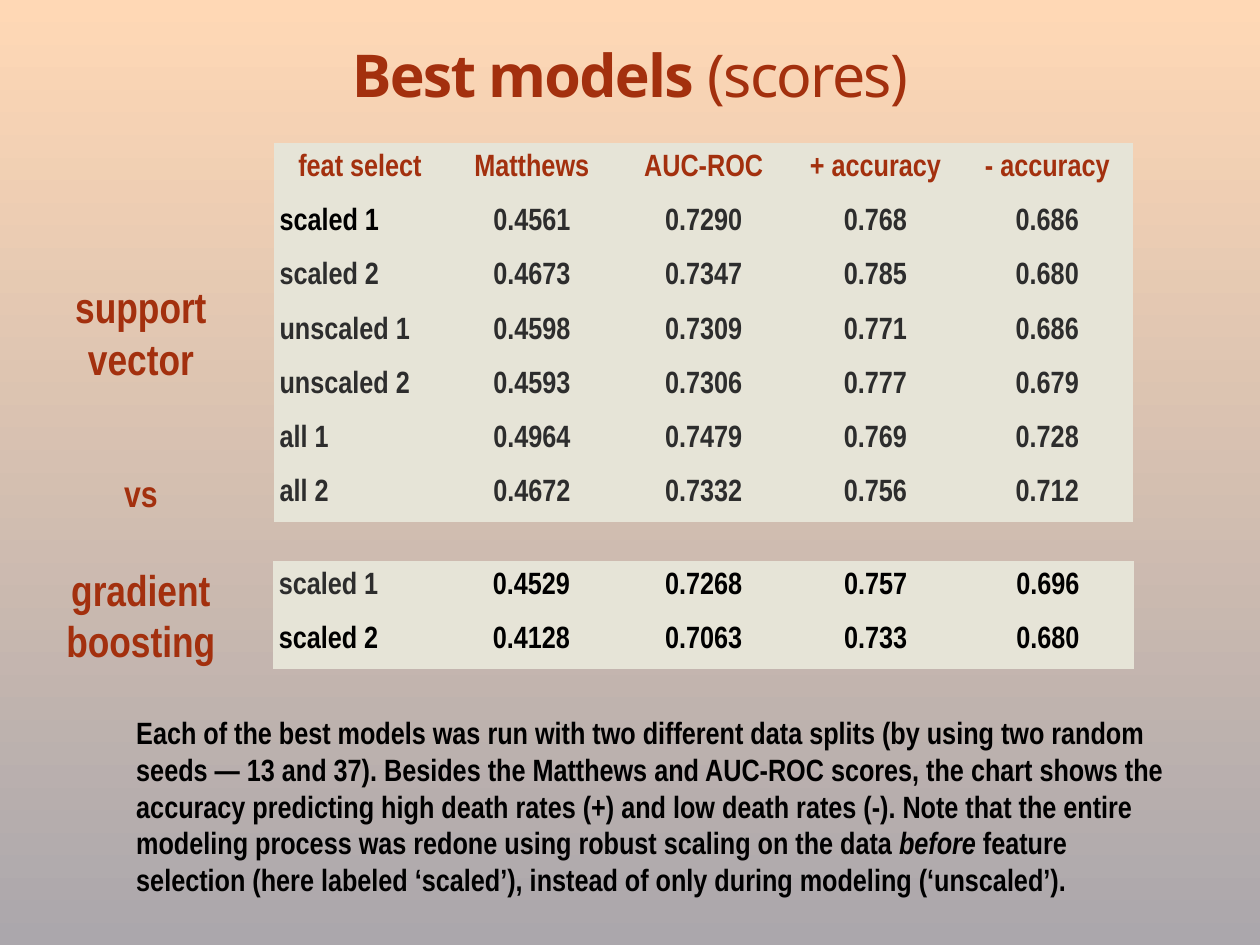
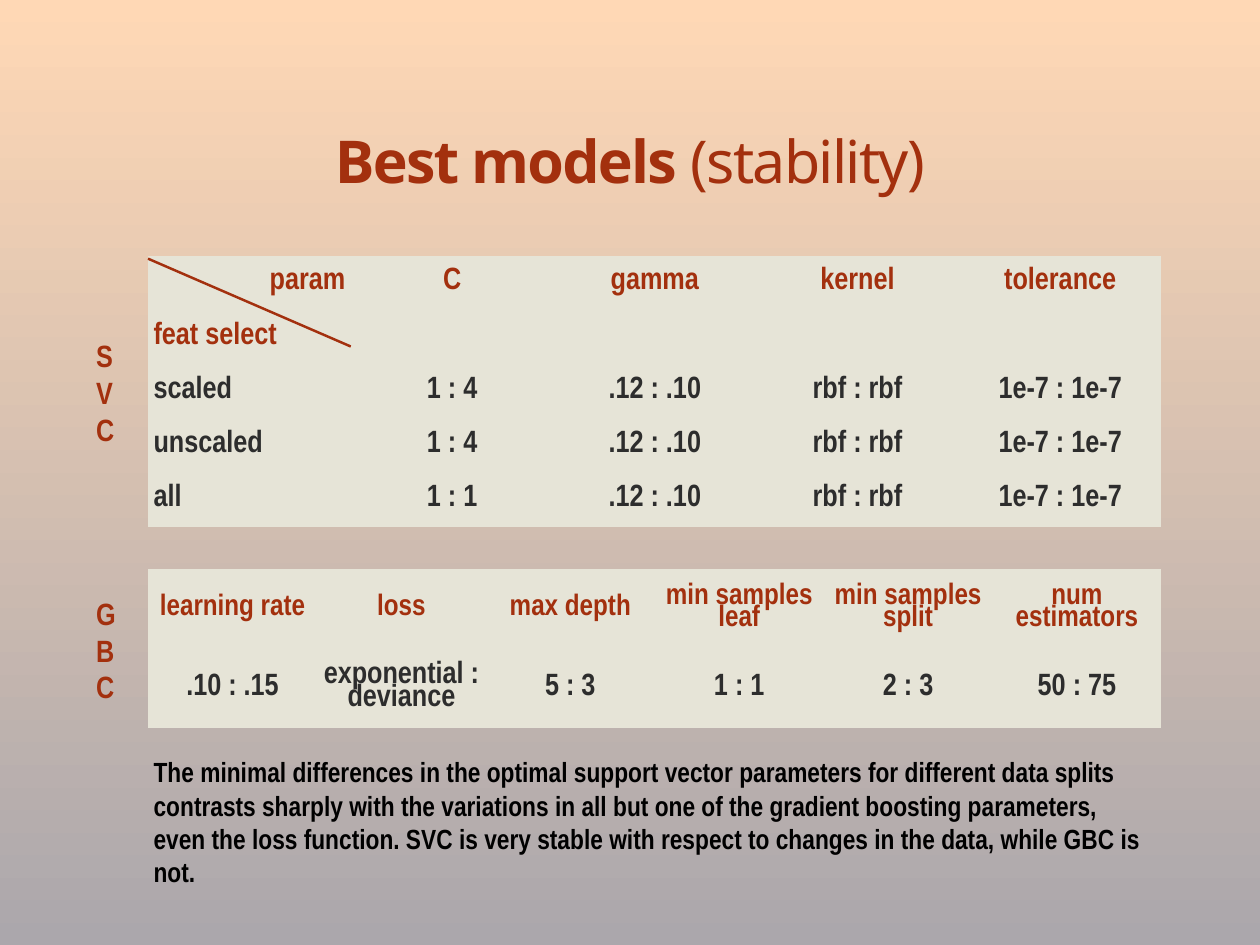
from lxml.etree import SubElement
from pptx import Presentation
from pptx.dml.color import RGBColor
from pptx.enum.shapes import MSO_CONNECTOR as Connector
from pptx.enum.text import MSO_ANCHOR as Anchor, MSO_AUTO_SIZE as AutoSize, PP_ALIGN as Align
from pptx.oxml.ns import qn
from pptx.util import Emu, Pt

COLORS = {
    "rust": "A3300E",
    "ink": "2D2D2D",
    "black": "000000",
    "cell": "E6E4D7",
    "sky": "FFD8B5",
    "dusk": "ABA7AC",
}
COLUMNS, ROWS = 160, 120
UNIT = 81280
NO_STYLE = "{2D5ABB26-0587-4C30-8999-92F81FD0307C}"
ROW_HEIGHT = 6.88
INSET = 0.7

TEXT = {"name": "Arial Narrow", "size": Pt(25), "bold": True}
TITLE = {"name": "Noto Sans", "size": Pt(48)}

SCORE_HEADS = ["feat select", "Matthews", "AUC-ROC", "+ accuracy", "- accuracy"]
SVC_SCORES = [
    ["scaled 1", "0.4561", "0.7290", "0.768", "0.686"],
    ["scaled 2", "0.4673", "0.7347", "0.785", "0.680"],
    ["unscaled 1", "0.4598", "0.7309", "0.771", "0.686"],
    ["unscaled 2", "0.4593", "0.7306", "0.777", "0.679"],
    ["all 1", "0.4964", "0.7479", "0.769", "0.728"],
    ["all 2", "0.4672", "0.7332", "0.756", "0.712"],
]
GBC_SCORES = [
    ["scaled 1", "0.4529", "0.7268", "0.757", "0.696"],
    ["scaled 2", "0.4128", "0.7063", "0.733", "0.680"],
]
SCORES_NOTE = [
    ("Each of the best models was run with two different data splits (by using two random "
     "seeds — 13 and 37). Besides the Matthews and AUC-ROC scores, the chart shows the "
     "accuracy predicting high death rates (+) and low death rates (-). Note that the entire "
     "modeling process was redone using robust scaling on the data ", {}),
    ("before", {"italic": True}),
    (" feature selection (here labeled ‘scaled’), instead of only during modeling (‘unscaled’).", {}),
]

SVC_PARAMS = [
    ["param", "C", "gamma", "kernel", "tolerance"],
    ["feat select", "", "", "", ""],
    *[[name, c_value, ".12 : .10", "rbf : rbf", "1e-7 : 1e-7"]
      for name, c_value in [("scaled", "1 : 4"), ("unscaled", "1 : 4"), ("all", "1 : 1")]],
]
GBC_PARAMS = [
    ["learning rate", "loss", "max depth", "min samples leaf", "min samples split", "num estimators"],
    [".10 : .15", "exponential : deviance", "5 : 3", "1 : 1", "2 : 3", "50 : 75"],
]
STABILITY_NOTE = (
    "The minimal differences in the optimal support vector parameters for different data splits "
    "contrasts sharply with the variations in all but one of the gradient boosting parameters, "
    "even the loss function. SVC is very stable with respect to changes in the data, while GBC is not."
)


def grid(*lengths):
    return [Emu(round(length * UNIT)) for length in lengths]


def rgb(name):
    return RGBColor.from_string(COLORS[name])


def set_all(target, values):
    for name, value in values.items():
        setattr(target, name, value)


def place(shape, box):
    set_all(shape, dict(zip(("left", "top", "width", "height"), grid(*box))))


def set_margins(target):
    inset, = grid(INSET)
    set_all(target, {f"margin_{side}": inset for side in ("left", "top", "right", "bottom")})


def write_spans(para, spans, color, base=TEXT, **layout):
    set_all(para, layout)
    for text, changes in spans:
        span = para.add_run()
        span.text = text
        set_all(span.font, {**base, **changes})
        span.font.color.rgb = rgb(color)


def prepare_frame(frame, anchor=Anchor.MIDDLE, wrap=True):
    set_margins(frame)
    set_all(frame, {"word_wrap": wrap, "auto_size": AutoSize.NONE, "vertical_anchor": anchor})


def add_title(page, top, topic):
    title = page.shapes.title
    width = 128.7
    place(title, ((COLUMNS - width) / 2, top, width, 23.4))
    prepare_frame(title.text_frame)
    para = title.text_frame.paragraphs[0]
    spans = [("Best models ", {"bold": True}), (f"({topic})", {"bold": False})]
    write_spans(para, spans, "rust", TITLE, alignment=Align.CENTER)
    for span in para.runs:
        span.font._element.set("spc", "-140")


def add_label(page, box, lines, size=25, wrap=True):
    label = page.shapes.add_textbox(*grid(*box))
    frame = label.text_frame
    prepare_frame(frame, wrap=wrap)
    for index, line in enumerate(lines):
        para = frame.add_paragraph() if index else frame.paragraphs[0]
        write_spans(para, [(line, {"size": Pt(size)})], "rust", alignment=Align.CENTER)


def add_cells(page, box, rows, heads=0, color="ink", head_size=25, left_column=True, special=None):
    special = special or {}
    table = page.shapes.add_table(len(rows), len(rows[0]), *grid(*box)).table
    set_all(table, {"first_row": False, "horz_banding": False})
    table._tbl.tblPr.find(qn("a:tableStyleId")).text = NO_STYLE
    for r, values in enumerate(rows):
        for c, value in enumerate(values):
            cell = table.cell(r, c)
            set_margins(cell)
            cell.vertical_anchor = Anchor.MIDDLE
            cell.fill.solid()
            cell.fill.fore_color.rgb = rgb("cell")
            is_head = r < heads
            at_left = left_column and c == 0
            if value == "param":
                align = Align.RIGHT
            elif at_left and value != "feat select" or at_left and r > 0:
                align = Align.LEFT
            else:
                align = Align.CENTER
            if value:
                size = Pt(head_size if is_head else 25)
                tone = "rust" if is_head else special.get((r, c), color)
                write_spans(cell.text_frame.paragraphs[0], [(value, {"size": size})], tone,
                            alignment=align, line_spacing=0.8)


def add_diagonal(page, box):
    left, top, width, height = box
    line = page.shapes.add_connector(
        Connector.STRAIGHT, *grid(left, top, left + width, top + height))
    line.line.color.rgb = rgb("rust")
    line.line.width = Pt(2)
    SubElement(line._element.spPr, qn("a:effectLst"))


def add_body(page, box, text):
    body = page.placeholders[1]
    place(body, box)
    prepare_frame(body.text_frame)
    para = body.text_frame.paragraphs[0]
    properties = para._p.get_or_add_pPr()
    for name in ("marL", "indent"):
        properties.set(name, "0")
    SubElement(properties, qn("a:buNone"))
    write_spans(para, [(text, {"size": Pt(22.5)})], "black",
                alignment=Align.LEFT, space_before=Pt(0))


def add_note(page, box, spans):
    note = page.shapes.add_textbox(*grid(*box))
    prepare_frame(note.text_frame, Anchor.TOP)
    write_spans(note.text_frame.paragraphs[0], spans, "black")


def build_scores(deck):
    page = deck.slides.add_slide(deck.slide_layouts[5])
    add_title(page, -2.36, "scores")
    svc_rows = [SCORE_HEADS, *SVC_SCORES]
    add_cells(page, (34.8, 18.1, 109.1, ROW_HEIGHT * len(svc_rows)), svc_rows,
              heads=1, special={(1, 0): "black"})
    add_cells(page, (34.7, 71.2, 109.3, ROW_HEIGHT * len(GBC_SCORES)), GBC_SCORES,
              color="black", special={(0, 0): "ink"})
    add_label(page, (8.1, 35.3, 19.6, 13.7), ["support", "vector"], 35)
    add_label(page, (15.05, 59.3, 5.7, 6.5), ["vs"], 30, wrap=False)
    add_label(page, (6.55, 71.2, 22.7, 13.7), ["gradient", "boosting"], 35)
    add_note(page, (16.6, 89.9, 132.1, 23.2), SCORES_NOTE)


def build_stability(deck):
    page = deck.slides.add_slide(deck.slide_layouts[1])
    left, width = 18.8, 128.7
    svc_top, gbc_top = 32.5, 72.3
    add_title(page, 8.55, "stability")
    add_body(page, (left, 95.85, width, 17), STABILITY_NOTE)
    add_cells(page, (left, svc_top, width, ROW_HEIGHT * len(SVC_PARAMS)), SVC_PARAMS, heads=2)
    add_diagonal(page, (left, svc_top + 0.35, width / len(SVC_PARAMS[0]), 11.15))
    add_cells(page, (left, gbc_top, width, 20.14), GBC_PARAMS,
              heads=1, head_size=24, left_column=False)
    for top, name in ((42.6, "SVC"), (75.3, "GBC")):
        add_label(page, (11.5, top, 3.4, 14.4), [name])


def paint_background(deck):
    fill = deck.slide_master.background.fill
    fill.gradient()
    fill.gradient_angle = 270
    for stop, name in zip(fill.gradient_stops, ("sky", "dusk")):
        stop.color.rgb = rgb(name)


def main():
    deck = Presentation()
    deck.slide_width, deck.slide_height = grid(COLUMNS, ROWS)
    paint_background(deck)
    build_scores(deck)
    build_stability(deck)
    deck.save("out.pptx")


if __name__ == "__main__":
    main()
